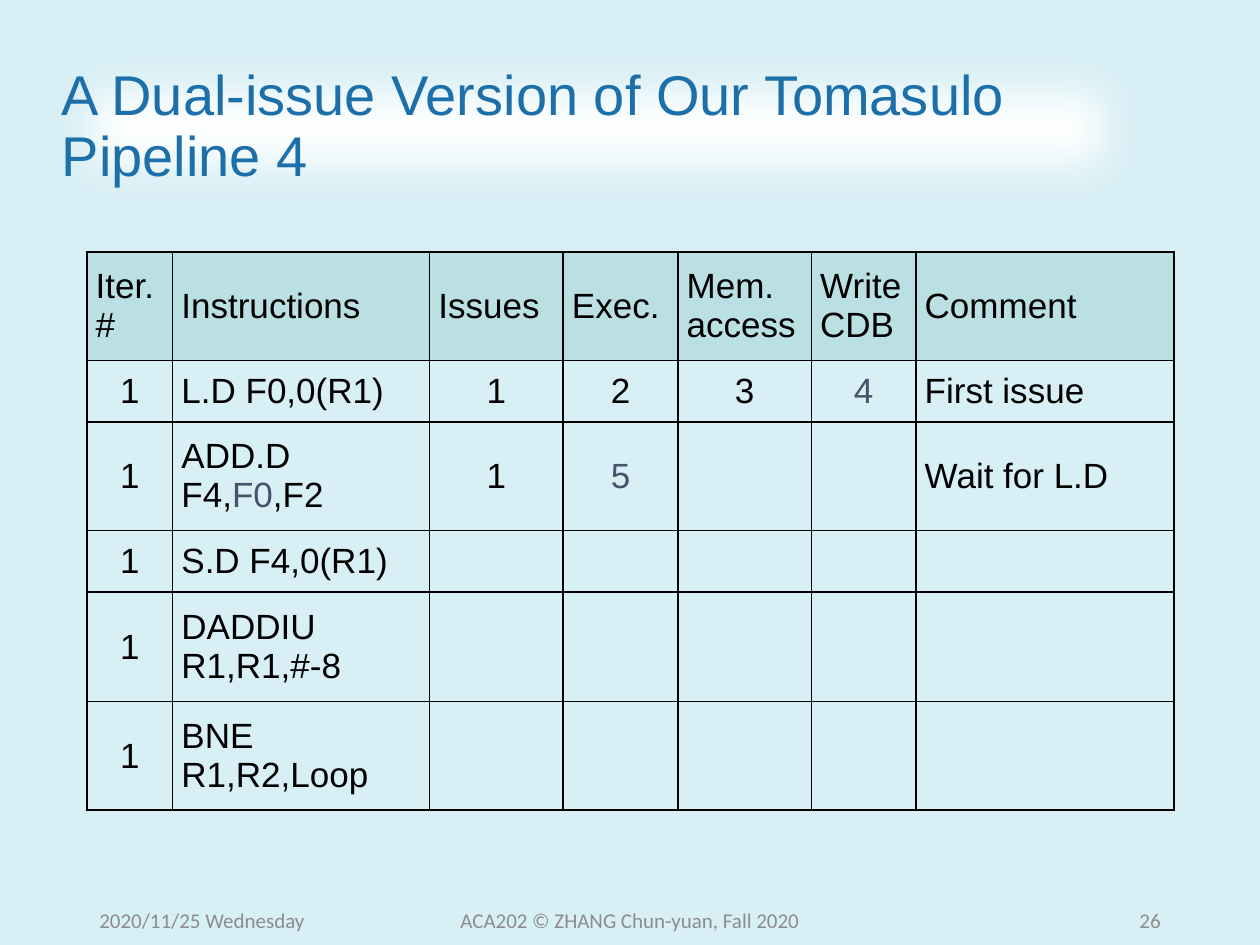
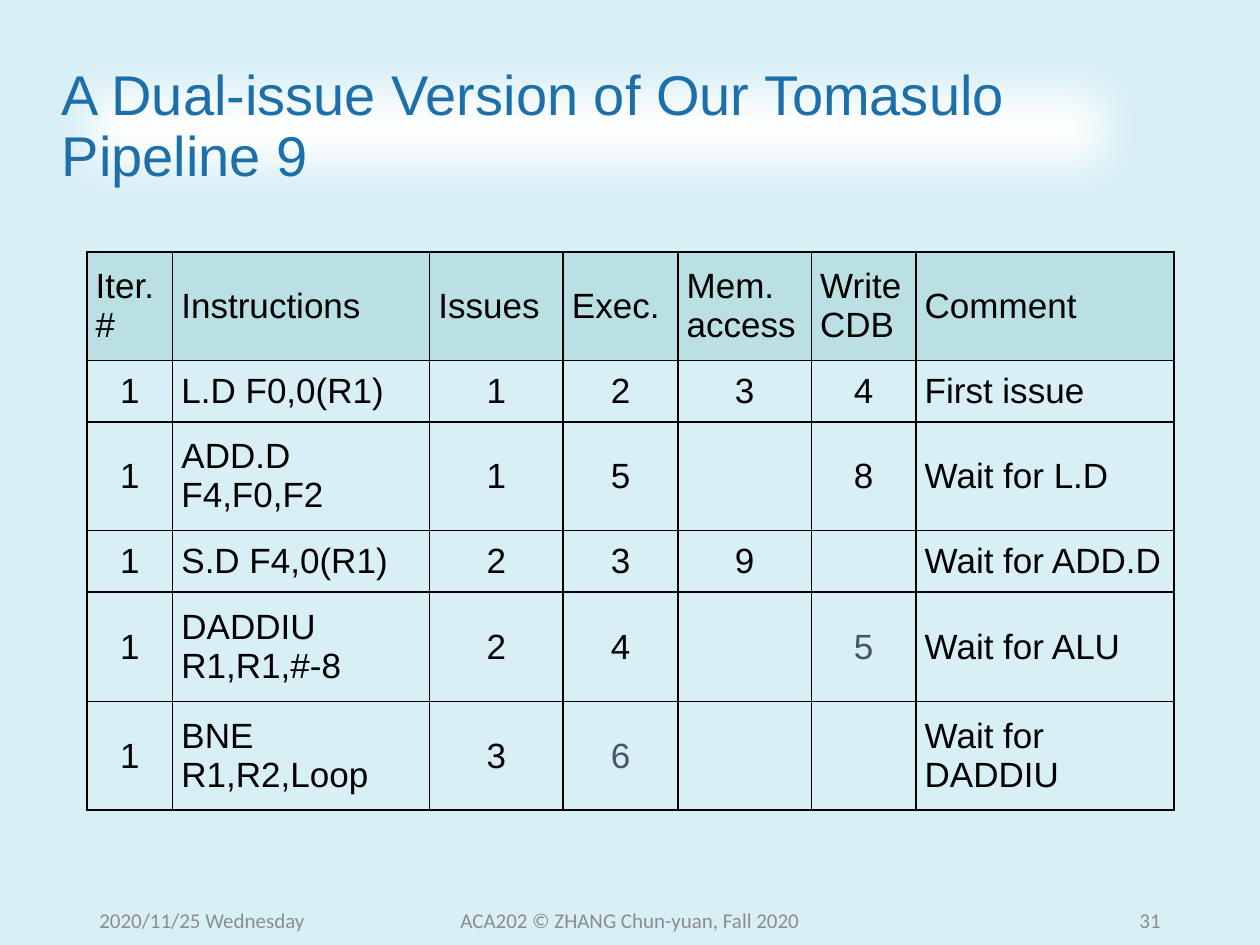
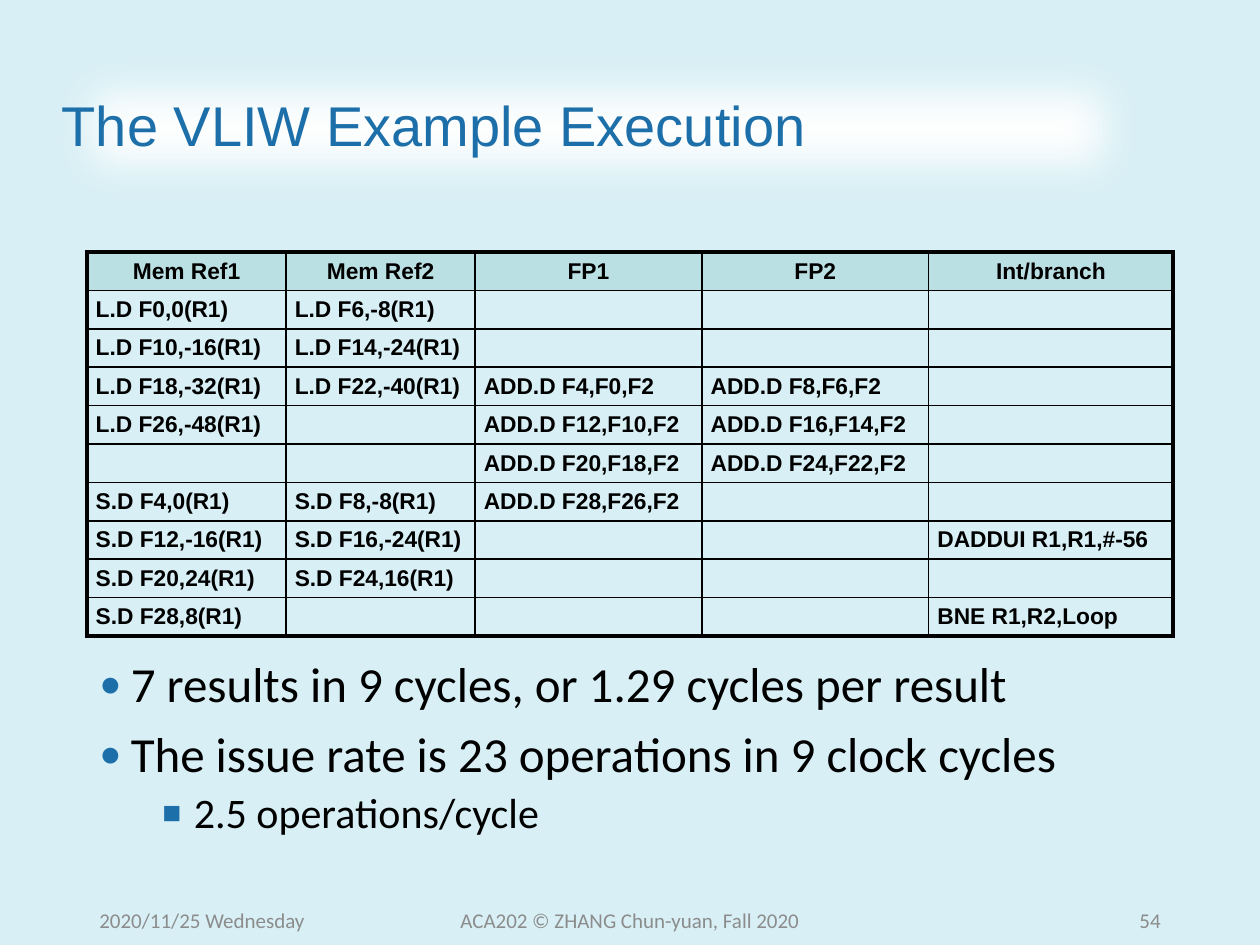
from pptx import Presentation
from pptx.dml.color import RGBColor
from pptx.enum.text import MSO_ANCHOR as Anchor, PP_ALIGN as Align
from pptx.oxml.ns import qn
from pptx.util import Inches, Pt
from lxml.etree import SubElement as Sub

BACK, BAND, BLUE = "D7EFF5", "BBE0E3", "1D6FA9"
INK, NOTE, GREY, WHITE = "000000", "44546A", "8C8C8C", "FFFFFF"
LEFT, TOP, WIDE = 6.9, 20, 86.3
DATE, CREDIT = "2020/11/25 Wednesday", "ACA202 © ZHANG Chun-yuan, Fall 2020"

PIPE_COLS = [6.8, 20.4, 10.6, 9.1, 10.6, 8.3, 20.5]
PIPE_ROWS = [8.6, 4.9, 8.6, 4.9, 8.7, 8.6]
PIPE_HEAD = ["Iter. #", "Instructions", "Issues", "Exec.", "Mem. access", "Write CDB", "Comment"]
PIPE_FOUR = [
    ["1", "L.D F0,0(R1)", "1", "2", "3", "|4|", "First issue"],
    ["1", "ADD.D F4,|F0|,F2", "1", "|5|", "", "", "Wait for L.D"],
    ["1", "S.D F4,0(R1)", "", "", "", "", ""],
    ["1", "DADDIU R1,R1,#-8", "", "", "", "", ""],
    ["1", "BNE R1,R2,Loop", "", "", "", "", ""],
]
PIPE_NINE = [
    ["1", "L.D F0,0(R1)", "1", "2", "3", "4", "First issue"],
    ["1", "ADD.D F4,F0,F2", "1", "5", "", "8", "Wait for L.D"],
    ["1", "S.D F4,0(R1)", "2", "3", "9", "", "Wait for ADD.D"],
    ["1", "DADDIU R1,R1,#-8", "2", "4", "", "|5|", "Wait for ALU"],
    ["1", "BNE R1,R2,Loop", "3", "|6|", "", "", "Wait for DADDIU"],
]
VLIW_COLS = [15.8, 15, 18, 18, 19.4]
VLIW = [
    ["Mem Ref1", "Mem Ref2", "FP1", "FP2", "Int/branch"],
    ["L.D F0,0(R1)", "L.D F6,-8(R1)", "", "", ""],
    ["L.D F10,-16(R1)", "L.D F14,-24(R1)", "", "", ""],
    ["L.D F18,-32(R1)", "L.D F22,-40(R1)", "ADD.D F4,F0,F2", "ADD.D F8,F6,F2", ""],
    ["L.D F26,-48(R1)", "", "ADD.D F12,F10,F2", "ADD.D F16,F14,F2", ""],
    ["", "", "ADD.D F20,F18,F2", "ADD.D F24,F22,F2", ""],
    ["S.D F4,0(R1)", "S.D F8,-8(R1)", "ADD.D F28,F26,F2", "", ""],
    ["S.D F12,-16(R1)", "S.D F16,-24(R1)", "", "", "DADDUI R1,R1,#-56"],
    ["S.D F20,24(R1)", "S.D F24,16(R1)", "", "", ""],
    ["S.D F28,8(R1)", "", "", "", "BNE R1,R2,Loop"],
]
POINTS = [
    (0, "7 results in 9 cycles, or 1.29 cycles per result"),
    (0, "The issue rate is 23 operations in 9 clock cycles"),
    (1, "2.5 operations/cycle"),
]


def unit(*nums):
    """Turn grid units, 100 across and 75 down the slide, into lengths."""
    return [Inches(num / 10) for num in nums]


def tint(code):
    """Turn a hex string into a colour."""
    return RGBColor.from_string(code)


def style(font, size, face, code, bold=False):
    """Set size, face, colour and weight of a font."""
    font.size, font.name, font.bold = Pt(size), face, bold
    font.color.rgb = tint(code)


def add_title(slide, text):
    """Place the title on its soft white band."""
    shape = slide.shapes.title
    shape.left, shape.top, shape.width, shape.height = unit(3.9, 4, 86.9, 12.3)
    shape.fill.solid()
    shape.fill.fore_color.rgb = tint(WHITE)
    glow = Sub(shape._element.spPr, qn("a:effectLst"))
    Sub(glow, qn("a:softEdge"), rad=str(Pt(25)))
    frame = shape.text_frame
    frame.text, frame.vertical_anchor = text, Anchor.MIDDLE
    para = frame.paragraphs[0]
    para.alignment, para.line_spacing = Align.LEFT, 0.9
    style(para.font, 32, "Arial", BLUE)


def add_foot(slide, num):
    """Write date, credit and page number along the foot."""
    parts = [(DATE, LEFT, 22.5, Align.LEFT),
             (CREDIT, 33.1, 33.8, Align.CENTER),
             (str(num), 70.6, 22.5, Align.RIGHT)]
    for text, left, wide, align in parts:
        frame = slide.shapes.add_textbox(*unit(left, 71, wide, 4)).text_frame
        frame.word_wrap, frame.vertical_anchor = True, Anchor.MIDDLE
        frame.text = text
        para = frame.paragraphs[0]
        para.alignment = align
        style(para.font, 12, "Calibri", GREY)


def add_edges(cell, sides):
    """Draw the four borders of a cell from side names and widths."""
    props = cell._tc.get_or_add_tcPr()
    for side, width in sides.items():
        line = Sub(props, qn("a:ln" + side), w=str(Pt(width)))
        Sub(Sub(line, qn("a:solidFill")), qn("a:srgbClr"), val=INK)


def fill_cell(cell, text, size, bold, align, head):
    """Write a cell, with the parts between bars in the note colour."""
    cell.vertical_anchor = Anchor.MIDDLE
    cell.margin_left, cell.margin_right, cell.margin_top, cell.margin_bottom = unit(0.7, 0.7, 0.4, 0.4)
    if head:
        cell.fill.solid()
        cell.fill.fore_color.rgb = tint(BAND)
    else:
        cell.fill.background()
    para = cell.text_frame.paragraphs[0]
    para.alignment = align
    style(para.font, size, "Arial", INK, bold)
    for spot, part in enumerate(text.split("|")):
        if part:
            run = para.add_run()
            run.text = part
            if spot % 2:
                run.font.color.rgb = tint(NOTE)
    if not text:
        para._p.get_or_add_endParaRPr().set("sz", str(size * 100))


def add_grid(slide, rows, cols, highs, size, bold=False, rim=1):
    """Add a ruled table with a tinted head row and a rim of given width."""
    high, wide = len(rows), len(cols)
    table = slide.shapes.add_table(high, wide, *unit(LEFT, TOP, WIDE, sum(highs))).table
    table.first_row = table.horz_banding = False
    for col, width in zip(table.columns, unit(*cols)):
        col.width = width
    for row, tall in zip(table.rows, unit(*highs)):
        row.height = tall
    for y, row in enumerate(rows):
        for x, text in enumerate(row):
            cell = table.cell(y, x)
            outer = {"L": x == 0, "R": x == wide - 1, "T": y == 0, "B": y == high - 1}
            add_edges(cell, {side: rim if out else 1 for side, out in outer.items()})
            mid = text.strip("|").isdigit() or (bold and y == 0)
            fill_cell(cell, text, size, bold, Align.CENTER if mid else Align.LEFT, y == 0)


def add_points(slide, points):
    """List points on two levels with blue bullets."""
    frame = slide.shapes.add_textbox(*unit(LEFT, 51.9, WIDE, 18.6)).text_frame
    frame.word_wrap = True
    for spot, (level, text) in enumerate(points):
        para = frame.paragraphs[0] if spot == 0 else frame.add_paragraph()
        para.text, para.level, para.line_spacing = text, level, 0.9
        if spot:
            para.space_before = Pt(5 if level else 10)
        props = para._p.get_or_add_pPr()
        props.set("marL", str(Inches(0.75 if level else 0.25)))
        props.set("indent", str(-Inches(0.25)))
        Sub(Sub(props, qn("a:buClr")), qn("a:srgbClr"), val=BLUE)
        Sub(props, qn("a:buSzPct"), val="75000")
        Sub(props, qn("a:buFont"), typeface="Arial")
        Sub(props, qn("a:buChar"), char="■" if level else "●")
        style(para.font, 24 if level else 28, "Calibri", INK)


def add_page(deck, title, num):
    """Add a slide with its title and foot."""
    slide = deck.slides.add_slide(deck.slide_layouts[5])
    add_title(slide, title)
    add_foot(slide, num)
    return slide


def main():
    """Build the deck and save it."""
    deck = Presentation()
    deck.slide_width, deck.slide_height = unit(100, 75)
    back = deck.slide_master.background.fill
    back.solid()
    back.fore_color.rgb = tint(BACK)
    for step, num, rows in [(4, 26, PIPE_FOUR), (9, 31, PIPE_NINE)]:
        slide = add_page(deck, f"A Dual-issue Version of Our Tomasulo Pipeline {step}", num)
        add_grid(slide, [PIPE_HEAD] + rows, PIPE_COLS, PIPE_ROWS, 20)
    slide = add_page(deck, "The VLIW Example Execution", 54)
    add_grid(slide, VLIW, VLIW_COLS, [3.05] * len(VLIW), 13, bold=True, rim=2.25)
    add_points(slide, POINTS)
    deck.save("out.pptx")


if __name__ == "__main__":
    main()
